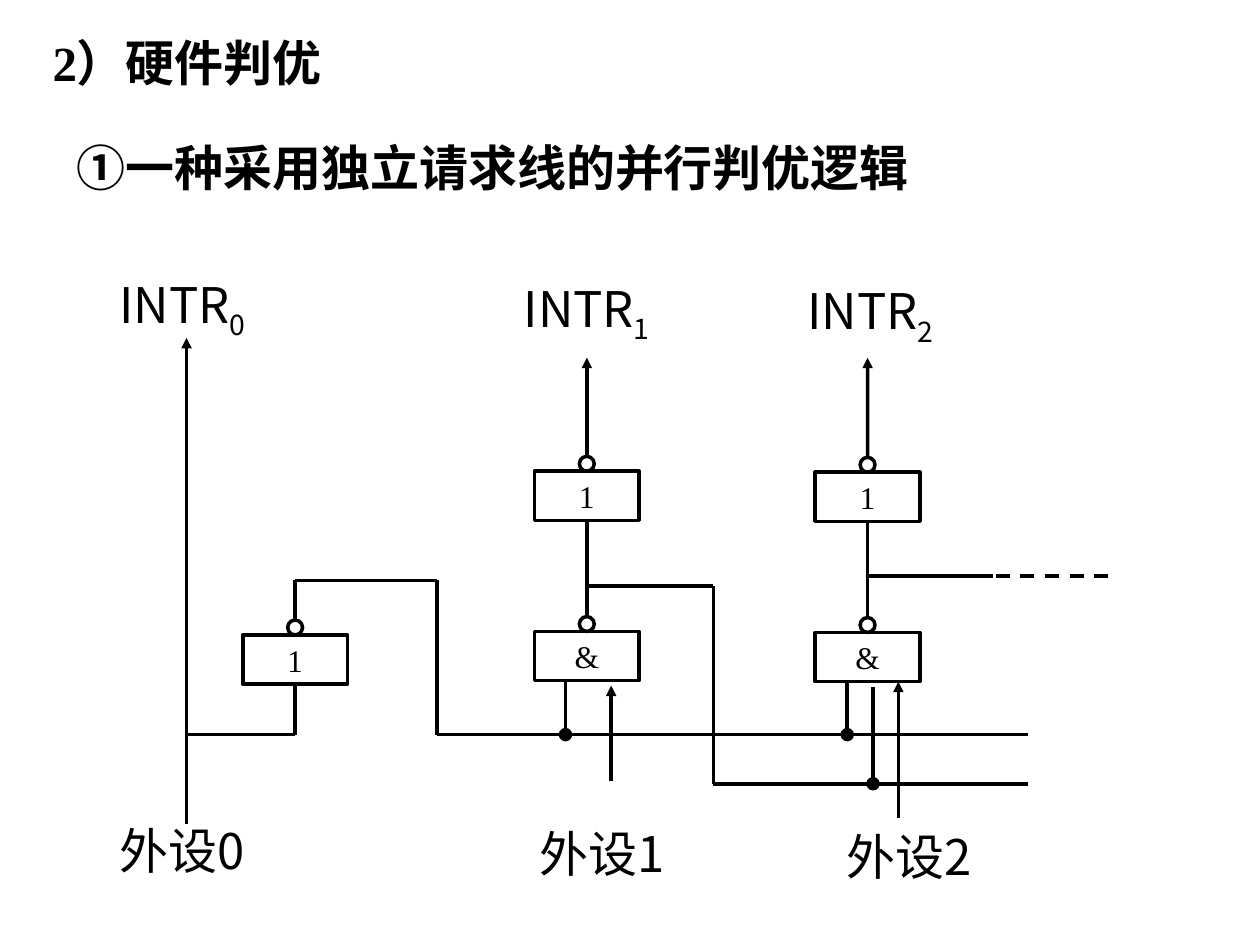
import itertools

import pptx
import pptx.util
import pptx.dml.color
import pptx.enum.dml
import pptx.enum.shapes
import pptx.enum.text
import pptx.oxml.ns
from lxml import etree

Cm, Pt = pptx.util.Cm, pptx.util.Pt
SHAPES = pptx.enum.shapes.MSO_SHAPE
COLORS = {"ink": "000000", "paper": "FFFFFF"}
SERIF, SANS = "Times New Roman", "Noto Sans CJK SC"

# All positions are in centimetres.
GATE_WIDTH, GATE_HEIGHT, BUBBLE, DOT = 2.11, 0.99, 0.3, 0.2
LABEL_WIDTH, LABEL_HEIGHT = 3.38, 1.45
BUS_0, BUS_1, BUS_END = 14.81, 15.8, 20.73
REQUEST_0, CENTER_0, CENTER_1, CENTER_2 = 3.76, 5.95, 11.83, 17.49
INPUT_1, INPUT_2A, INPUT_2B = 11.4, 17.08, 17.6
ARROW_TOP = 7.21

TITLES = [  # text, left, top, width
    ("2）硬件判优", 0.81, 0.53, 9.53),
    ("①一种采用独立请求线的并行判优逻辑", 1.3, 2.64, 22.6),
]
LABELS = [  # text, subscript, left, top
    ("INTR", "0", 2.16, 5.41),
    ("INTR", "1", 10.31, 5.49),
    ("INTR", "2", 16.03, 5.54),
    ("外设0", "", 2.16, 16.41),
    ("外设1", "", 10.62, 16.48),
    ("外设2", "", 16.81, 16.54),
]
STACKS = [(CENTER_1, 9.5, 12.73), (CENTER_2, 9.52, 12.75)]  # center, NOT top, AND top
WIRES = [  # corner points
    [(REQUEST_0, BUS_0), (CENTER_0, BUS_0)],
    [(CENTER_0, 11.7), (8.81, 11.7), (8.81, BUS_0), (BUS_END, BUS_0)],
    [(CENTER_1, 11.81), (14.38, 11.81), (14.38, BUS_1), (BUS_END, BUS_1)],
    [(CENTER_2, 11.61), (20.02, 11.61)],
    [(INPUT_1, 13.72), (INPUT_1, BUS_0)],
    [(INPUT_2A, 13.74), (INPUT_2A, BUS_0)],
    [(INPUT_2B, 13.84), (INPUT_2B, BUS_1)],
]
ARROWS = [
    [(REQUEST_0, 16.61), (REQUEST_0, 6.81)],
    [(12.32, 15.75), (12.32, 13.82)],
    [(18.11, 16.48), (18.11, 13.74)],
]
DASHED = [(20.07, 11.61), (22.35, 11.61)]
DOTS = [(INPUT_1, BUS_0), (INPUT_2A, BUS_0), (INPUT_2B, BUS_1)]

presentation = pptx.Presentation()
presentation.slide_width, presentation.slide_height = Cm(25.4), Cm(19.05)
slide = presentation.slides.add_slide(presentation.slide_layouts[6])


def color(name):
    return pptx.dml.color.RGBColor.from_string(COLORS[name])


def write(paragraph, text, size=28, font=SANS, bold=False, baseline=0):
    run = paragraph.add_run()
    run.text = text
    run.font.size, run.font.name, run.font.bold = Pt(size), font, bold
    run.font.color.rgb = color("ink")
    properties = run.font._element
    if baseline:
        properties.set("baseline", str(baseline * 1000))
    latin = properties.find(pptx.oxml.ns.qn("a:latin"))
    east_asian = etree.Element(pptx.oxml.ns.qn("a:ea"), typeface=SANS)
    latin.addnext(east_asian)


def add_text(text, left, top, width, subscript="", **style):
    box = slide.shapes.add_textbox(Cm(left), Cm(top), Cm(width), Cm(LABEL_HEIGHT))
    box.text_frame.word_wrap = True
    paragraph = box.text_frame.paragraphs[0]
    write(paragraph, text, **style)
    if subscript:
        write(paragraph, subscript, baseline=-25, **style)


def add_outline(kind, center, top, width, height, fill=None):
    shape = slide.shapes.add_shape(
        kind, Cm(center - width / 2), Cm(top), Cm(width), Cm(height))
    shape.shadow.inherit = False
    shape.line.color.rgb, shape.line.width = color("ink"), Pt(2)
    if fill:
        shape.fill.solid()
        shape.fill.fore_color.rgb = color(fill)
    else:
        shape.fill.background()
    return shape


def add_gate(symbol, center, top):
    """Draw a gate with its inverting bubble; return both shapes."""
    gate = add_outline(SHAPES.RECTANGLE, center, top, GATE_WIDTH, GATE_HEIGHT, "paper")
    frame = gate.text_frame
    frame.word_wrap = False
    frame.vertical_anchor = pptx.enum.text.MSO_ANCHOR.MIDDLE
    frame.paragraphs[0].alignment = pptx.enum.text.PP_ALIGN.CENTER
    write(frame.paragraphs[0], symbol, size=18, font=SERIF)
    bubble = add_outline(SHAPES.OVAL, center, top - BUBBLE, BUBBLE, BUBBLE)
    return gate, bubble


def add_wire(start, end, arrow=False, dashed=False, start_at=None, end_at=None):
    """Draw a line; start_at and end_at are (shape, site) pairs to join."""
    wire = slide.shapes.add_connector(
        pptx.enum.shapes.MSO_CONNECTOR.STRAIGHT, *map(Cm, (*start, *end)))
    wire.line.color.rgb, wire.line.width = color("ink"), Pt(2)
    if dashed:
        wire.line.dash_style = pptx.enum.dml.MSO_LINE.DASH
    if arrow:
        etree.SubElement(wire.line._get_or_add_ln(),
                         pptx.oxml.ns.qn("a:tailEnd"), type="triangle")
    etree.SubElement(wire._element.spPr, pptx.oxml.ns.qn("a:effectLst"))
    if start_at:
        wire.begin_connect(*start_at)
    if end_at:
        wire.end_connect(*end_at)


for text, left, top, width in TITLES:
    add_text(text, left, top, width, font=SERIF, bold=True)
for text, subscript, left, top in LABELS:
    add_text(text, left, top, LABEL_WIDTH, subscript)

inverter, bubble = add_gate("1", CENTER_0, 12.8)
add_wire((CENTER_0, 13.79), (CENTER_0, BUS_0), start_at=(inverter, 2))
add_wire((CENTER_0, 12.5), (CENTER_0, 11.7), start_at=(bubble, 0))

for center, not_top, and_top in STACKS:
    inverter, output = add_gate("1", center, not_top)
    and_gate, and_output = add_gate("&", center, and_top)
    add_wire((center, and_top - BUBBLE), (center, not_top + GATE_HEIGHT),
             start_at=(and_output, 0), end_at=(inverter, 2))
    add_wire((center, not_top - BUBBLE), (center, ARROW_TOP),
             arrow=True, start_at=(output, 0))

for corners in WIRES:
    for start, end in itertools.pairwise(corners):
        add_wire(start, end)
for start, end in ARROWS:
    add_wire(start, end, arrow=True)
add_wire(*DASHED, dashed=True)
for x, y in DOTS:
    add_outline(SHAPES.FLOWCHART_CONNECTOR, x, y - DOT / 2, DOT, DOT, "ink")

presentation.save("out.pptx")
